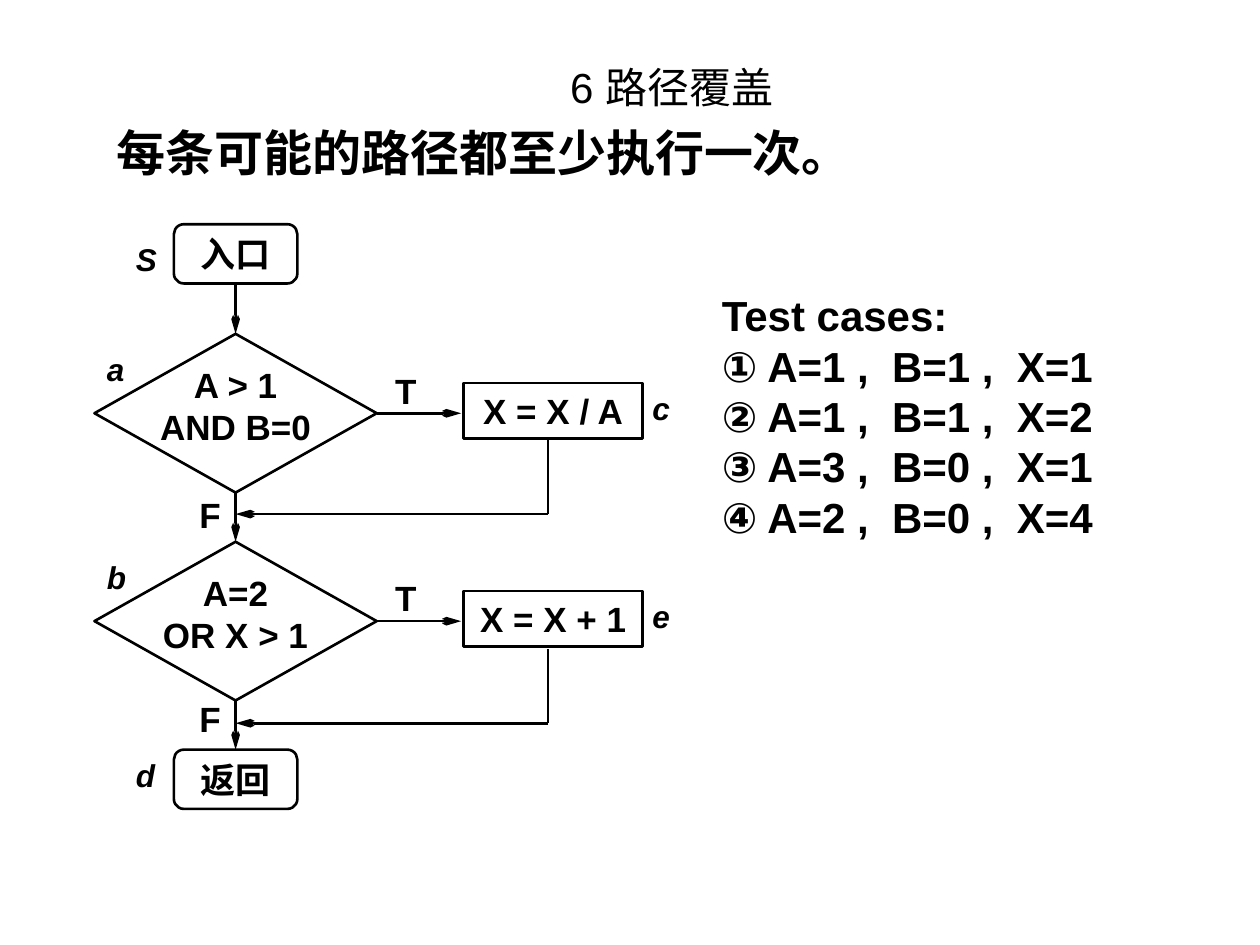
from dataclasses import dataclass
from lxml import etree
from pptx import Presentation
from pptx.dml.color import RGBColor
from pptx.enum.shapes import MSO_CONNECTOR, MSO_SHAPE
from pptx.enum.text import MSO_ANCHOR, PP_ALIGN
from pptx.oxml.ns import qn
from pptx.util import Inches, Pt

LEFT, MID, RIGHT = PP_ALIGN.LEFT, PP_ALIGN.CENTER, PP_ALIGN.RIGHT
TOP, CENTER = MSO_ANCHOR.TOP, MSO_ANCHOR.MIDDLE
ROUND = MSO_SHAPE.FLOWCHART_ALTERNATE_PROCESS
CHOICE = MSO_SHAPE.FLOWCHART_DECISION
BOX = MSO_SHAPE.RECTANGLE
STRAIGHT = MSO_CONNECTOR.STRAIGHT


@dataclass(frozen=True)
class Theme:
    font: str = "Arial"
    ink: RGBColor = RGBColor(0, 0, 0)
    line: float = 1.5
    head: int = 28
    title: int = 24
    body: int = 20
    mark: int = 18


THEME = Theme()
AXIS = 1.87
BEND = 4.35
STEP = 1.65


def write(shape, text, size, align=LEFT, anchor=TOP, wrap=True,
          pad=(0.1, 0.05, 0.1, 0.05), bold=True, italic=False):
    frame = shape.text_frame
    sides = [Inches(side) for side in pad]
    layout = dict(zip(("margin_left", "margin_top", "margin_right",
                       "margin_bottom"), sides),
                  word_wrap=wrap, vertical_anchor=anchor)
    for name, value in layout.items():
        setattr(frame, name, value)
    style = {"name": THEME.font, "size": Pt(size), "bold": bold,
             "italic": italic}
    for row, words in enumerate(text.split("\n")):
        para = frame.paragraphs[0] if row == 0 else frame.add_paragraph()
        para.alignment = align
        run = para.add_run()
        run.text = words
        for name, value in style.items():
            setattr(run.font, name, value)
        run.font.color.rgb = THEME.ink


def label(slide, text, place, size, **style):
    box = slide.shapes.add_textbox(*map(Inches, place))
    write(box, text, size, **style)


def node(slide, kind, text, place, **style):
    shape = slide.shapes.add_shape(kind, *map(Inches, place))
    shape.shadow.inherit = False
    shape.fill.background()
    shape.line.color.rgb = THEME.ink
    shape.line.width = Pt(THEME.line)
    write(shape, text, THEME.body, align=MID, **style)
    return shape


def link(slide, start, end, arrow=True):
    wire = slide.shapes.add_connector(STRAIGHT, *map(Inches, start + end))
    wire.line.color.rgb = THEME.ink
    wire.line.width = Pt(THEME.line)
    props = wire._element.spPr
    if arrow:
        etree.SubElement(props.find(qn("a:ln")), qn("a:tailEnd"),
                         type="arrow", w="sm", len="lg")
    etree.SubElement(props, qn("a:effectLst"))
    return wire


def end_node(slide, text, top):
    return node(slide, ROUND, text, (1.38, top, 0.98, 0.47),
                anchor=CENTER, wrap=False)


def stage(slide, top, test, action, back):
    choice = node(slide, CHOICE, test, (0.75, top, 2.24, 1.26),
                  anchor=CENTER, wrap=False, pad=(0.02, 0.01, 0.02, 0.13))
    node(slide, BOX, action, (3.68, top + 0.39, 1.42, 0.44))
    level = top + 0.63
    link(slide, (2.99, level), (3.66, level)).begin_connect(choice, 3)
    label(slide, "T", (2.93, top + 0.23, 0.58, 0.44), THEME.body, align=MID)
    link(slide, (BEND, back), (AXIS, back))
    link(slide, (BEND, back - 0.59), (BEND, back), arrow=False)
    return choice


def flow(slide):
    first = 2.65
    nodes = [
        end_node(slide, "入口", 1.78),
        stage(slide, first, "A > 1\nAND B=0", "X = X / A", 4.08),
        stage(slide, first + STEP, "A=2\nOR X > 1", "X = X + 1", 5.74),
        end_node(slide, "返回", 5.95),
    ]
    for upper, lower in zip(nodes, nodes[1:]):
        wire = link(slide, (AXIS, 0), (AXIS, 1))
        wire.begin_connect(upper, 2)
        wire.end_connect(lower, 0)
    for top in (3.87, 5.49):
        label(slide, "F", (1.43, top, 0.42, 0.44), THEME.body, align=RIGHT)


def marks(slide):
    spots = [("S", 0.98, 1.86, 0.24), ("a", 0.75, 2.73, 0.32),
             ("b", 0.75, 4.38, 0.32), ("c", 5.08, 3.04, 0.32),
             ("e", 5.08, 4.69, 0.32), ("d", 0.98, 5.95, 0.32)]
    for text, left, top, width in spots:
        label(slide, text, (left, top, width, 0.4), THEME.mark, italic=True)


def main():
    deck = Presentation()
    deck.slide_width, deck.slide_height = Inches(10), Inches(7.5)
    slide = deck.slides.add_slide(deck.slide_layouts[6])
    label(slide, "6 路径覆盖", (0.66, 0.44, 9.34, 0.5), THEME.title,
          align=MID, anchor=CENTER, bold=False)
    label(slide, "每条可能的路径都至少执行一次。", (0.83, 0.92, 8.33, 0.57),
          THEME.head)
    flow(slide)
    cases = [("①", 1, 1, 1), ("②", 1, 1, 2), ("③", 3, 0, 1), ("④", 2, 0, 4)]
    rows = [f"{sign} A={a} ,  B={b} ,  X={x}" for sign, a, b, x in cases]
    label(slide, "\n".join(["Test cases:"] + rows), (5.63, 2.25, 4.02, 2.1),
          THEME.title)
    marks(slide)
    deck.save("out.pptx")


if __name__ == "__main__":
    main()
